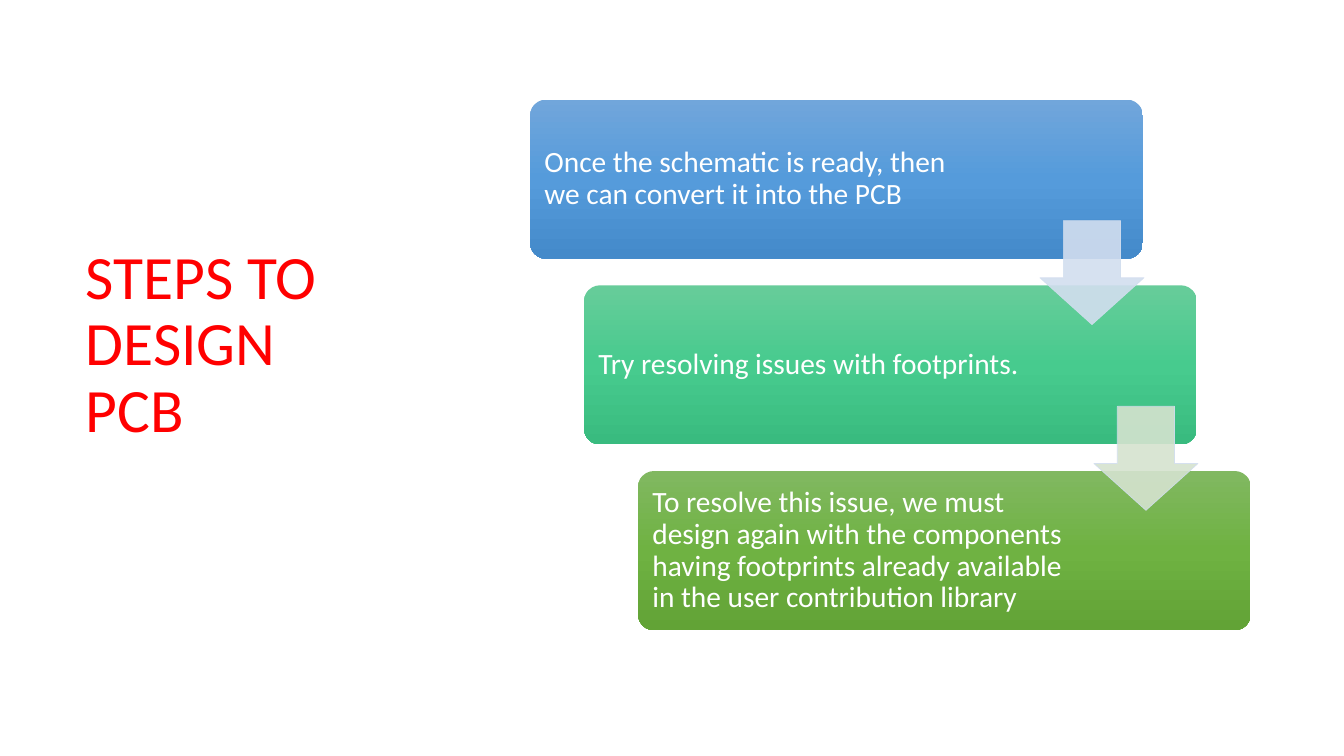
from copy import deepcopy

from pptx import Presentation
from pptx import util as u
from pptx.dml.color import RGBColor
from pptx.enum import shapes, text
from pptx.oxml.ns import qn
from pptx.oxml.xmlchemy import OxmlElement


def rgb(value):
    return RGBColor.from_string(value)


def set_alpha(fill_element, percent):
    alpha = OxmlElement("a:alpha")
    alpha.set("val", str(percent * 1000))
    fill_element.find(qn("a:srgbClr")).append(alpha)


def write(tf, content, size=21, color="FFFFFF", font="Calibri", inset=0.24):
    tf.word_wrap = True
    tf.vertical_anchor = text.MSO_ANCHOR.MIDDLE
    tf.margin_left = tf.margin_right = u.Cm(inset)
    tf.margin_top = tf.margin_bottom = u.Cm(inset)
    p = tf.paragraphs[0]
    p.alignment = text.PP_ALIGN.LEFT
    p.line_spacing = 0.9
    r = p.add_run()
    r.text = content
    r.font.size = u.Pt(size)
    r.font.name = font
    r.font.color.rgb = rgb(color)


class StepSlide:
    arrow_line = "D2DEEF"
    arrow_alpha = 90

    def __init__(self, prs):
        self.slide = prs.slides.add_slide(prs.slide_layouts[6])

    def shape(self, kind, box, adjustments):
        sp = self.slide.shapes.add_shape(kind, *map(u.Cm, box))
        sp.shadow.inherit = False
        for i, value in enumerate(adjustments):
            sp.adjustments[i] = value
        return sp

    def label(self, box, content, **style):
        s = self.slide.shapes.add_textbox(*map(u.Cm, box))
        write(s.text_frame, content, **style)

    def card(self, box, colors):
        sp = self.shape(shapes.MSO_SHAPE.ROUNDED_RECTANGLE, box, [0.1])
        sp.line.fill.background()
        sp.fill.gradient()
        sp.fill.gradient_angle = 270
        # A new gradient has two stops; add the middle one
        stops = sp._element.spPr.find(qn("a:gradFill")).find(qn("a:gsLst"))
        stops.insert(1, deepcopy(stops[0]))
        for i, (stop, color) in enumerate(zip(sp.fill.gradient_stops, colors)):
            stop.position = i / 2
            stop.color.rgb = rgb(color)

    def arrow(self, box, color):
        sp = self.shape(shapes.MSO_SHAPE.DOWN_ARROW, box, [0.55, 0.45])
        sp.fill.solid()
        sp.fill.fore_color.rgb = rgb(color)
        sp.line.color.rgb = rgb(self.arrow_line)
        sp.line.width = u.Pt(0.5)
        spPr = sp._element.spPr
        for parent in (spPr, spPr.find(qn("a:ln"))):
            set_alpha(parent.find(qn("a:solidFill")), self.arrow_alpha)


STEPS = [
    ("Once the schematic is ready, then we can convert it into the PCB",
     ("71A6DB", "559BDB", "448ACA")),
    ("Try resolving issues with footprints.",
     ("67CC9A", "47CB8E", "39BB7F")),
    ("To resolve this issue, we must design again with the components "
     "having footprints already available in the user contribution library",
     ("81B861", "6FB242", "62A336")),
]
ARROW_COLORS = ["D2DEEF", "D5E3CF"]
STEP_X, STEP_Y = 1.36, 4.68


def main():
    prs = Presentation()
    prs.slide_width, prs.slide_height = u.Cm(33.87), u.Cm(19.05)
    s = StepSlide(prs)

    # Title
    s.label((1.91, 1.78, 7.19, 13.87), "STEPS TO DESIGN PCB",
            size=44, color="FF0000", inset=0.25)

    # Staircase of steps
    for i, (content, colors) in enumerate(STEPS):
        x, y = 13.36 + i * STEP_X, 2.51 + i * STEP_Y
        s.card((x, y, 15.44, 4.01), colors)
        s.label((x + 0.12, y + 0.12, 11.2, 3.78), content)

    # Arrows between the steps
    for i, color in enumerate(ARROW_COLORS):
        s.arrow((26.21 + i * STEP_X, 5.56 + i * STEP_Y, 2.62, 2.62), color)

    prs.save("out.pptx")


if __name__ == "__main__":
    main()
